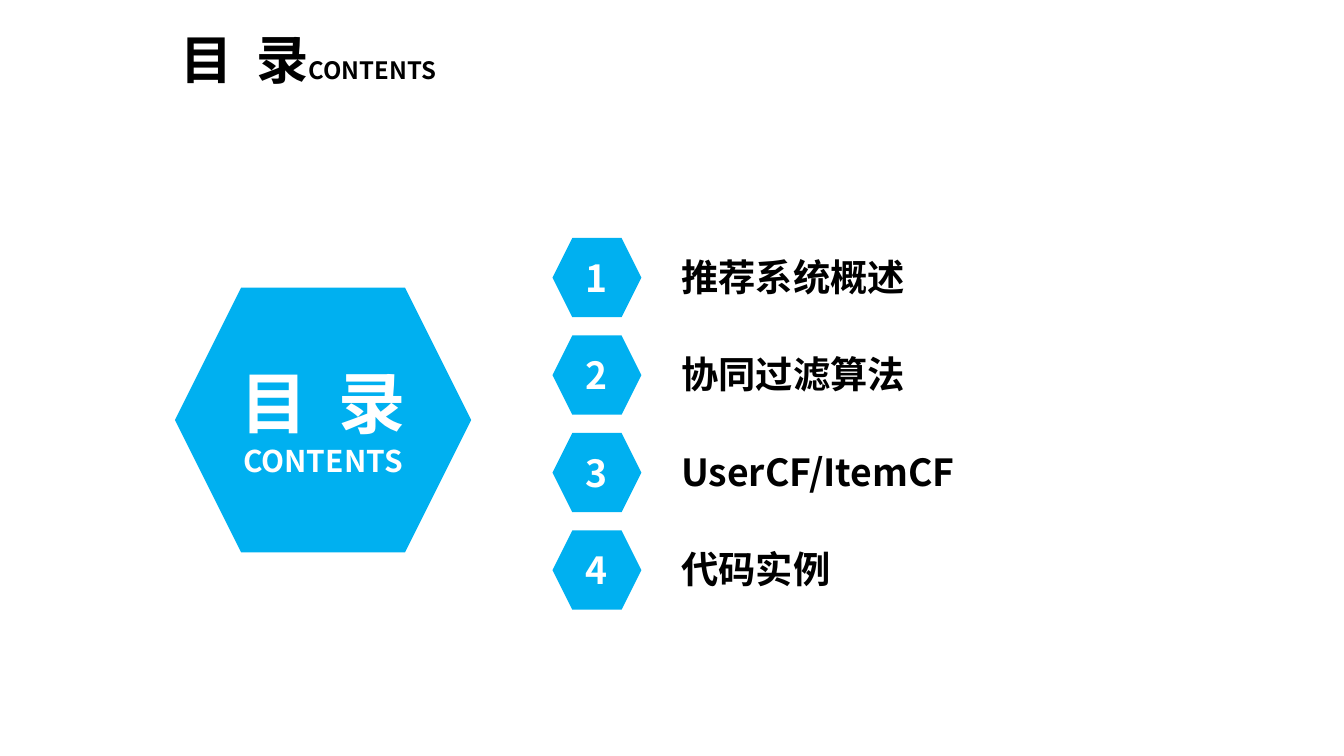
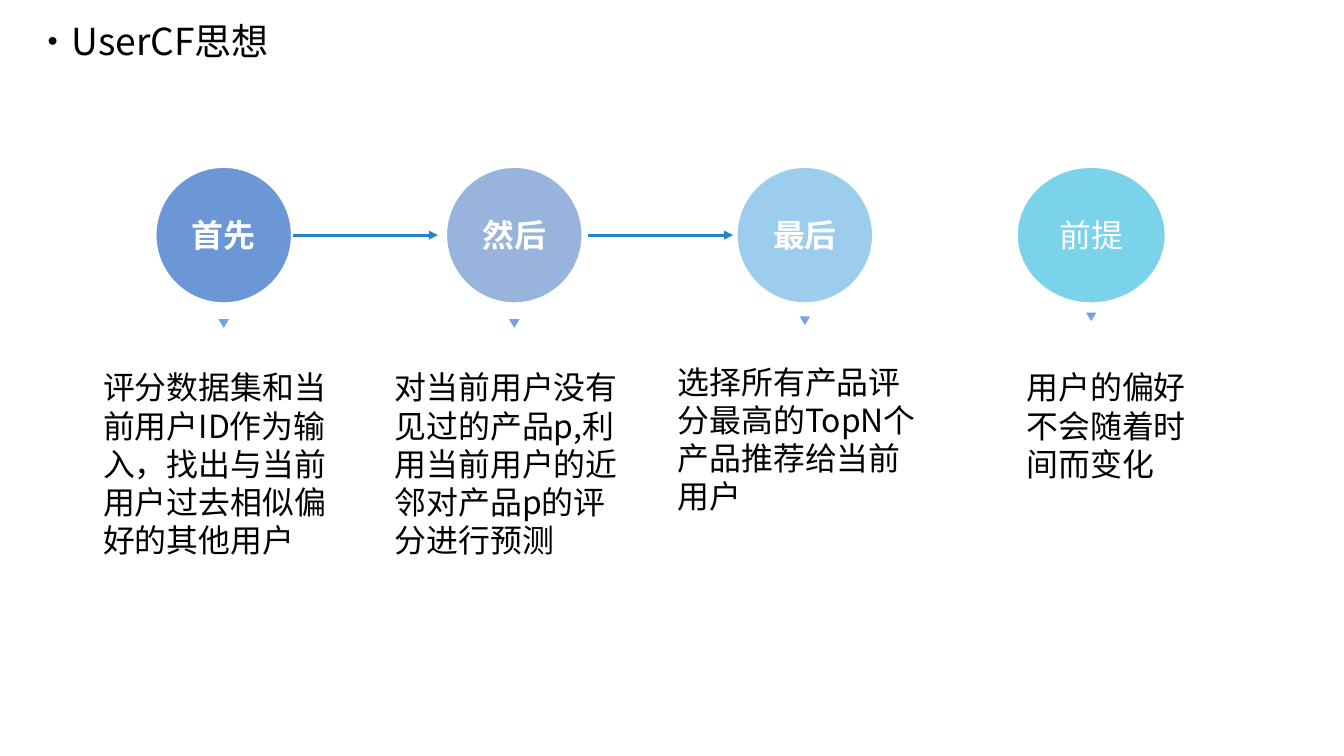
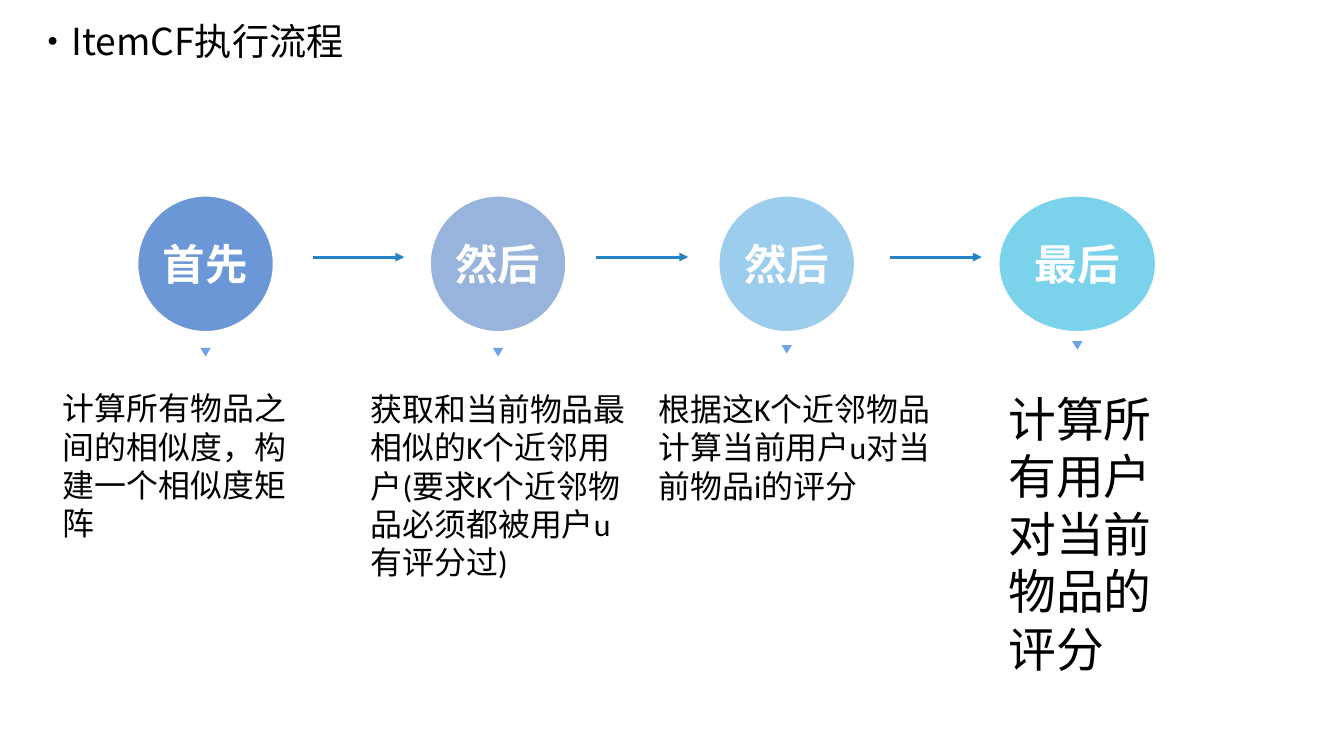
from dataclasses import dataclass

from lxml import etree
from pptx import Presentation
from pptx.dml.color import RGBColor
from pptx.enum import shapes, text
from pptx.oxml import ns
from pptx.util import Inches, Pt

CJK_FONT = "Noto Sans CJK SC"
BLACK, WHITE = "000000", "FFFFFF"
CONTENTS_BLUE, ARROW_BLUE, MARKER_BLUE = "00B0F0", "2683C6", "74A2E6"
STEP_COLOURS = ["2F6CC5", "6E95CE", "73B8E6", "43BFE3"]
CIRCLE = 1.42
MARKER_W, MARKER_H = 0.11, 0.09


@dataclass
class Step:
    label: str
    left: float
    width: float
    marker_top: float
    note: str
    note_box: tuple
    note_size: float = 24
    bold: bool = True


def rgb(colour):
    return RGBColor.from_string(colour)


def sub(parent, tag, **attrs):
    return etree.SubElement(parent, ns.qn(tag), attrs)


def place(sp, left, top, width, height):
    sp.left, sp.top = Inches(left), Inches(top)
    sp.width, sp.height = Inches(width), Inches(height)


def add_run(p, words, size, colour=BLACK, bold=False, font=CJK_FONT, spacing=0):
    """Add a run; spacing is the extra room after each letter, in points."""
    r = p.add_run()
    r.text = words
    r.font.size, r.font.bold = Pt(size), bold
    r.font.color.rgb = rgb(colour)
    r.font.name = font
    props = r.font._element
    sub(props, "a:ea", typeface=CJK_FONT)
    if spacing:
        props.set("spc", str(round(spacing * 100)))


def add_contents_word(p, size, colour):
    add_run(p, "目 ", size, colour, True, spacing=0.11 * size)
    add_run(p, "录", size, colour, True)


def add_title(s, left, top, width, height):
    """Place the title and return its paragraph, ready for runs."""
    sp = s.shapes.title
    place(sp, left, top, width, height)
    tf = sp.text_frame
    tf.auto_size = text.MSO_AUTO_SIZE.NONE
    tf.vertical_anchor = text.MSO_ANCHOR.MIDDLE
    p = tf.paragraphs[0]
    p.alignment = text.PP_ALIGN.LEFT
    p.line_spacing = 0.9
    return p


def add_text(s, box, words, size, **style):
    tf = s.shapes.add_textbox(*map(Inches, box)).text_frame
    tf.word_wrap = True
    add_run(tf.paragraphs[0], words, size, **style)


def add_figure(s, kind, box, fill, outline=None, alpha=None):
    """Add a preset shape whose text is centred; alpha is a percentage."""
    sp = s.shapes.add_shape(kind, *map(Inches, box))
    sp.shadow.inherit = False
    sp.fill.solid()
    sp.fill.fore_color.rgb = rgb(fill)
    if alpha:
        colour = sp._element.spPr.find(ns.qn("a:solidFill"))[0]
        sub(colour, "a:alpha", val=str(alpha * 1000))
    if outline:
        sp.line.color.rgb = rgb(outline)
        sp.line.width = Pt(1)
    else:
        sp.line.fill.background()
    tf = sp.text_frame
    tf.word_wrap = False
    tf.vertical_anchor = text.MSO_ANCHOR.MIDDLE
    tf.margin_left = tf.margin_right = tf.margin_top = tf.margin_bottom = 0
    tf.paragraphs[0].alignment = text.PP_ALIGN.CENTER
    return sp


def add_arrow(s, start, end, y):
    line = s.shapes.add_connector(
        shapes.MSO_CONNECTOR.STRAIGHT, Inches(start), Inches(y), Inches(end), Inches(y))
    line.line.color.rgb = rgb(ARROW_BLUE)
    line.line.width = Pt(2.25)
    sub(line.line._get_or_add_ln(), "a:tailEnd", type="triangle")
    sub(line._element.spPr, "a:effectLst")


def add_step(s, step, colour, top, label_size):
    """Add a labelled circle, the marker below it and its note."""
    circle = add_figure(s, shapes.MSO_SHAPE.OVAL, (step.left, top, step.width, CIRCLE),
                        colour, outline=WHITE, alpha=70)
    add_run(circle.text_frame.paragraphs[0], step.label, label_size, WHITE, step.bold)
    marker_left = step.left + (step.width - MARKER_W) / 2
    marker = add_figure(s, shapes.MSO_SHAPE.ISOSCELES_TRIANGLE,
                        (marker_left, step.marker_top, MARKER_W, MARKER_H), MARKER_BLUE)
    marker.rotation = 180


def build_contents(s):
    p = add_title(s, 1.79, 0.27, 4.04, 0.76)
    add_contents_word(p, 39.4, BLACK)
    add_run(p, "CONTENTS", 18, bold=True)

    hexagon = shapes.MSO_SHAPE.HEXAGON
    tf = add_figure(s, hexagon, (1.83, 3.01, 3.1, 2.77), CONTENTS_BLUE).text_frame
    add_contents_word(tf.paragraphs[0], 50.6, WHITE)
    p = tf.add_paragraph()
    p.alignment = text.PP_ALIGN.CENTER
    add_run(p, "CONTENTS", 22.5, WHITE, True)

    chapters = ["推荐系统概述", "协同过滤算法", "UserCF/ItemCF", "代码实例"]
    for i, chapter in enumerate(chapters):
        top = 2.49 + 1.02 * i
        sp = add_figure(s, hexagon, (5.78, top, 0.93, 0.83), CONTENTS_BLUE)
        add_run(sp.text_frame.paragraphs[0], str(i + 1), 28.1, WHITE, True)
        add_text(s, (7.03, top + 0.12, 3.43, 0.57), chapter, 28.1, bold=True)


def build_flow(s, title, steps, top, label_size, arrows, arrow_y, note_font):
    add_run(add_title(s, 0.26, 0.23, 5, 0.46), title, 28)
    for step, colour in zip(steps, STEP_COLOURS):
        add_step(s, step, colour, top, label_size)
        add_text(s, step.note_box, step.note, step.note_size, font=note_font)
    for start, end in arrows:
        add_arrow(s, start, end, arrow_y)


def main():
    prs = Presentation()
    prs.slide_width, prs.slide_height = Inches(14.06), Inches(7.91)
    contents, user_cf, item_cf = (
        prs.slides.add_slide(prs.slide_layouts[5]) for _ in range(3))
    build_contents(contents)

    user_steps = [
        Step("首先", 1.63, CIRCLE, 3.34,
             "评分数据集和当前用户ID作为输入，找出与当前用户过去相似偏好的其他用户",
             (0.98, 3.8, 2.71, 2.12)),
        Step("然后", 4.67, CIRCLE, 3.34,
             "对当前用户没有见过的产品p,利用当前用户的近邻对产品p的评分进行预测",
             (4.03, 3.8, 2.71, 2.12)),
        Step("最后", 7.71, CIRCLE, 3.31,
             "选择所有产品评分最高的TopN个产品推荐给当前用户",
             (6.99, 3.74, 2.84, 1.72)),
        Step("前提", 10.64, 1.55, 3.27, "用户的偏好不会随着时间而变化",
             (10.64, 3.8, 1.96, 1.31), bold=False),
    ]
    build_flow(user_cf, "·UserCF思想", user_steps, top=1.75, label_size=24,
               arrows=[(3.07, 4.58), (6.15, 7.67)], arrow_y=2.46, note_font=CJK_FONT)

    item_steps = [
        Step("首先", 1.44, CIRCLE, 3.64,
             "计算所有物品之间的相似度，构建一个相似度矩阵",
             (0.56, 4.02, 2.71, 1.72)),
        Step("然后", 4.5, CIRCLE, 3.64,
             "获取和当前物品最相似的K个近邻用户(要求K个近邻物品必须都被用户u有评分过)",
             (3.78, 4.03, 3.01, 2.12)),
        Step("然后", 7.52, CIRCLE, 3.61,
             "根据这K个近邻物品计算当前用户u对当前物品i的评分",
             (6.79, 4.03, 3.2, 1.31)),
        Step("最后", 10.45, 1.64, 3.57, "计算所有用户对当前物品的评分",
             (10.45, 4.03, 1.96, 3.13), note_size=36),
    ]
    build_flow(item_cf, "·ItemCF执行流程", item_steps, top=2.05, label_size=32,
               arrows=[(3.27, 4.23), (6.24, 7.2), (9.31, 10.27)], arrow_y=2.69,
               note_font="Calibri")
    prs.save("out.pptx")


if __name__ == "__main__":
    main()
